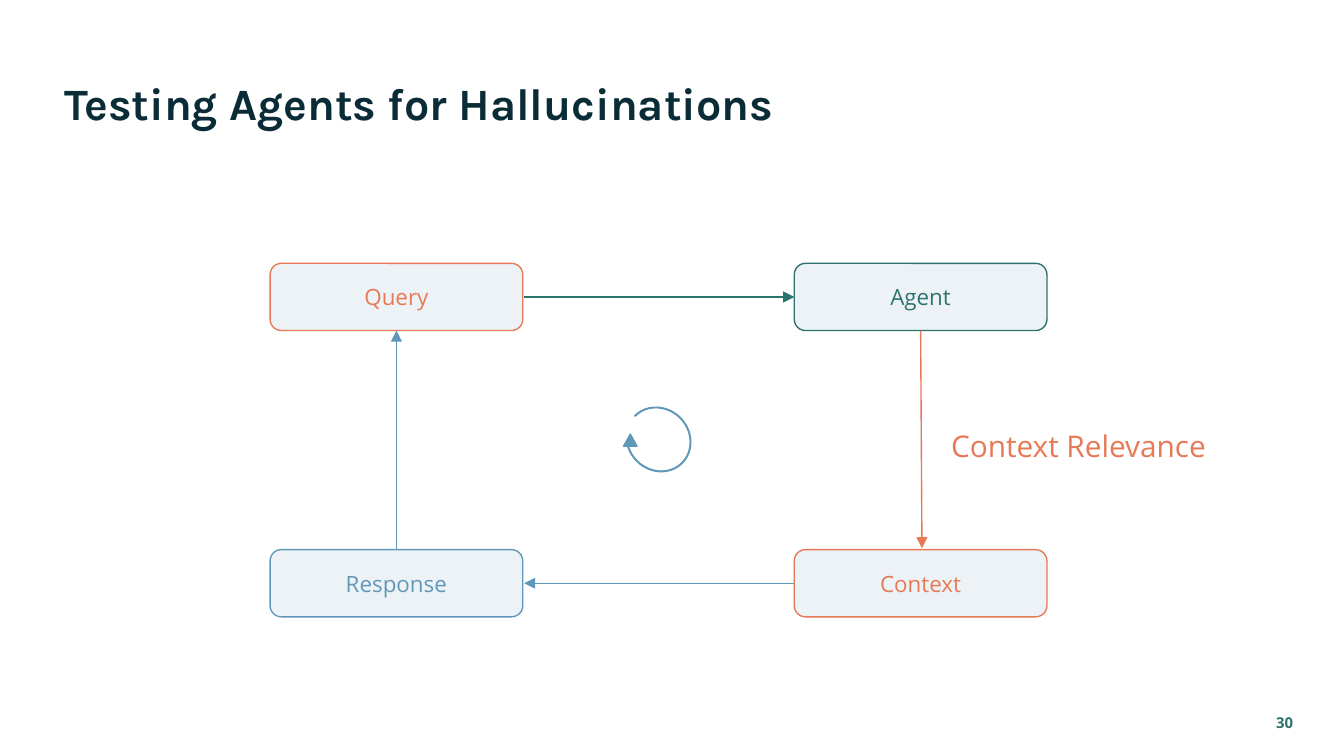
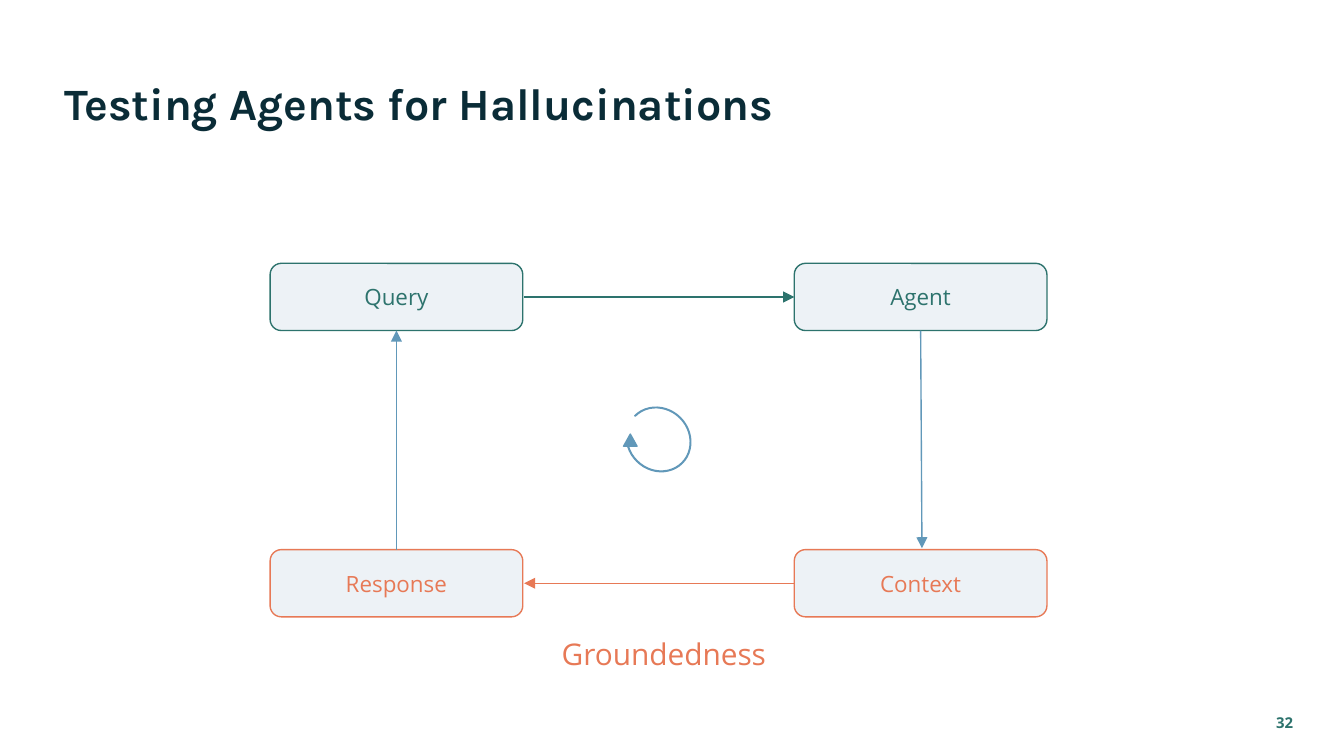
from lxml.etree import SubElement
from pptx import Presentation
from pptx.dml.color import RGBColor
from pptx.enum.shapes import MSO_CONNECTOR, MSO_SHAPE
from pptx.enum.text import MSO_ANCHOR, PP_ALIGN
from pptx.oxml.ns import qn
from pptx.util import Inches, Pt

COLORS = {"ink": "0A2C37", "green": "2D736D", "blue": "6198B9",
          "coral": "E77956", "panel": "EDF2F6"}
TITLE = "Testing Agents for Hallucinations"

# Two columns and two rows of equal boxes
COLS, ROWS = (2.01, 5.91), (1.96, 4.09)
BOX_W, BOX_H = 1.88, 0.5
LEFT_MID, RIGHT_MID = (x + BOX_W / 2 for x in COLS)
TOP_MID, BOTTOM_MID = (y + BOX_H / 2 for y in ROWS)
GAP_LEFT, GAP_RIGHT = COLS[0] + BOX_W + 0.01, COLS[1]
GAP_TOP, GAP_BOTTOM = ROWS[0] + BOX_H, ROWS[1]

BOXES = {"Query": (0, 0), "Agent": (1, 0), "Context": (1, 1), "Response": (0, 1)}
ARROWS = {
    "query": (GAP_LEFT, TOP_MID, GAP_RIGHT, TOP_MID),
    "retrieve": (RIGHT_MID, GAP_TOP, RIGHT_MID + 0.01, GAP_BOTTOM - 0.01),
    "answer": (GAP_RIGHT, BOTTOM_MID, GAP_LEFT, BOTTOM_MID),
    "repeat": (LEFT_MID, GAP_BOTTOM, LEFT_MID, GAP_TOP),
}
LOOP_PARTS = [
    (MSO_SHAPE.BLOCK_ARC, (4.65, 3.04, 0.5, 0.46), 45, (108, 73.04, 0.01)),
    (MSO_SHAPE.ISOSCELES_TRIANGLE, (4.64, 3.23, 0.1, 0.09), 0, (0.5,)),
]
BASE = {"Query": "green", "Agent": "green", "Context": "blue", "Response": "blue",
        "query": "green", "retrieve": "blue", "answer": "blue", "repeat": "blue"}
SLIDES = [
    {"number": "30", "label": "Context Relevance", "at": (6.85, 3.04, 2.35, 0.47),
     "coral": ("Query", "Context", "retrieve")},
    {"number": "32", "label": "Groundedness", "at": (3.22, 4.59, 3.44, 0.47),
     "coral": ("Response", "Context", "answer")},
]


def add_text(sp, text, size=12, color="ink", font="Open Sans", bold=False,
             align=PP_ALIGN.CENTER, anchor=MSO_ANCHOR.TOP, spacing=None):
    tf = sp.text_frame
    tf.word_wrap = True
    tf.vertical_anchor = anchor
    tf.margin_left = tf.margin_right = tf.margin_top = tf.margin_bottom = Inches(0.1)
    p = tf.paragraphs[0]
    p.alignment = align
    p.line_spacing = spacing
    r = p.add_run()
    r.text = text
    r.font.name, r.font.size, r.font.bold = font, Pt(size), bold
    r.font.color.rgb = RGBColor.from_string(COLORS[color])


def paint(sp, line, fill=None):
    """Set the outline and, for closed shapes, the fill without a shadow."""
    sp.line.color.rgb = RGBColor.from_string(COLORS[line])
    sp.line.width = Pt(0.75)
    if fill:
        sp.shadow.inherit = False
        sp.fill.solid()
        sp.fill.fore_color.rgb = RGBColor.from_string(COLORS[fill])


prs = Presentation()
prs.slide_width = Inches(10)
prs.slide_height = prs.slide_width * 9 // 16

for page in SLIDES:
    s = prs.slides.add_slide(prs.slide_layouts[6])
    colors = BASE | dict.fromkeys(page["coral"], "coral")

    number = s.shapes.add_textbox(*map(Inches, (9.12, 5.16, 0.6, 0.43)))
    add_text(number, page["number"], size=8, color="green", bold=True,
             align=PP_ALIGN.RIGHT, anchor=MSO_ANCHOR.MIDDLE)
    title = s.shapes.add_textbox(*map(Inches, (0.38, 0.46, 7.99, 0.63)))
    add_text(title, TITLE, size=24, font="Karla", bold=True, align=PP_ALIGN.LEFT)
    label = s.shapes.add_textbox(*map(Inches, page["at"]))
    add_text(label, page["label"], size=16, color="coral", spacing=1.15)

    for name, (col, row) in BOXES.items():
        box = s.shapes.add_shape(MSO_SHAPE.ROUNDED_RECTANGLE,
                                 *map(Inches, (COLS[col], ROWS[row], BOX_W, BOX_H)))
        paint(box, colors[name], "panel")
        add_text(box, name, color=colors[name], anchor=MSO_ANCHOR.MIDDLE)

    for name, ends in ARROWS.items():
        arrow = s.shapes.add_connector(MSO_CONNECTOR.STRAIGHT, *map(Inches, ends))
        paint(arrow, colors[name])
        props = arrow.element.spPr
        SubElement(props.find(qn("a:ln")), qn("a:tailEnd"), type="triangle")
        SubElement(props, qn("a:effectLst"))

    loop = s.shapes.add_group_shape()
    for kind, at, rotation, adjustments in LOOP_PARTS:
        sp = loop.shapes.add_shape(kind, *map(Inches, at))
        sp.rotation = rotation
        for i, value in enumerate(adjustments):
            sp.adjustments[i] = value
        paint(sp, "blue", "blue")

prs.save("out.pptx")
